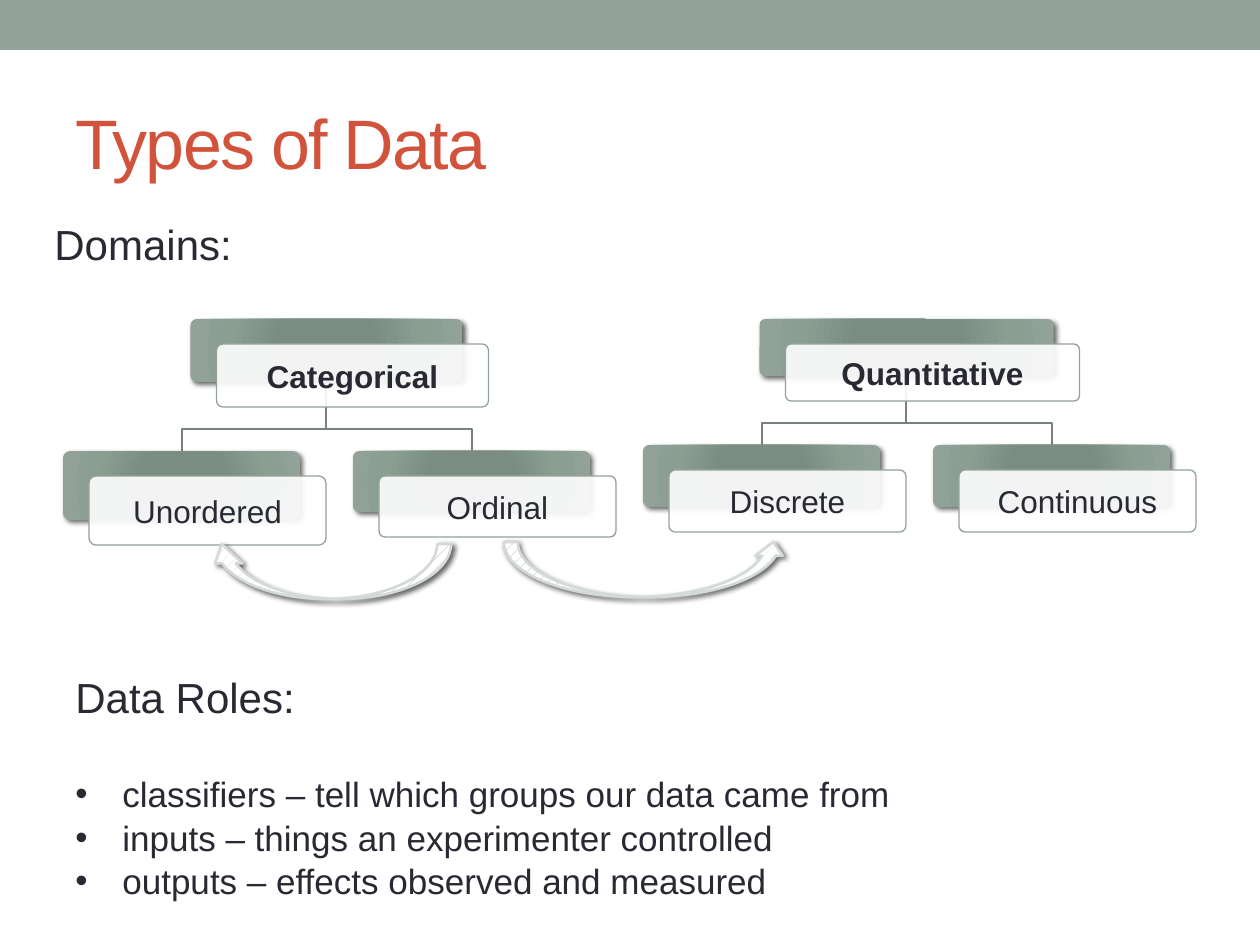
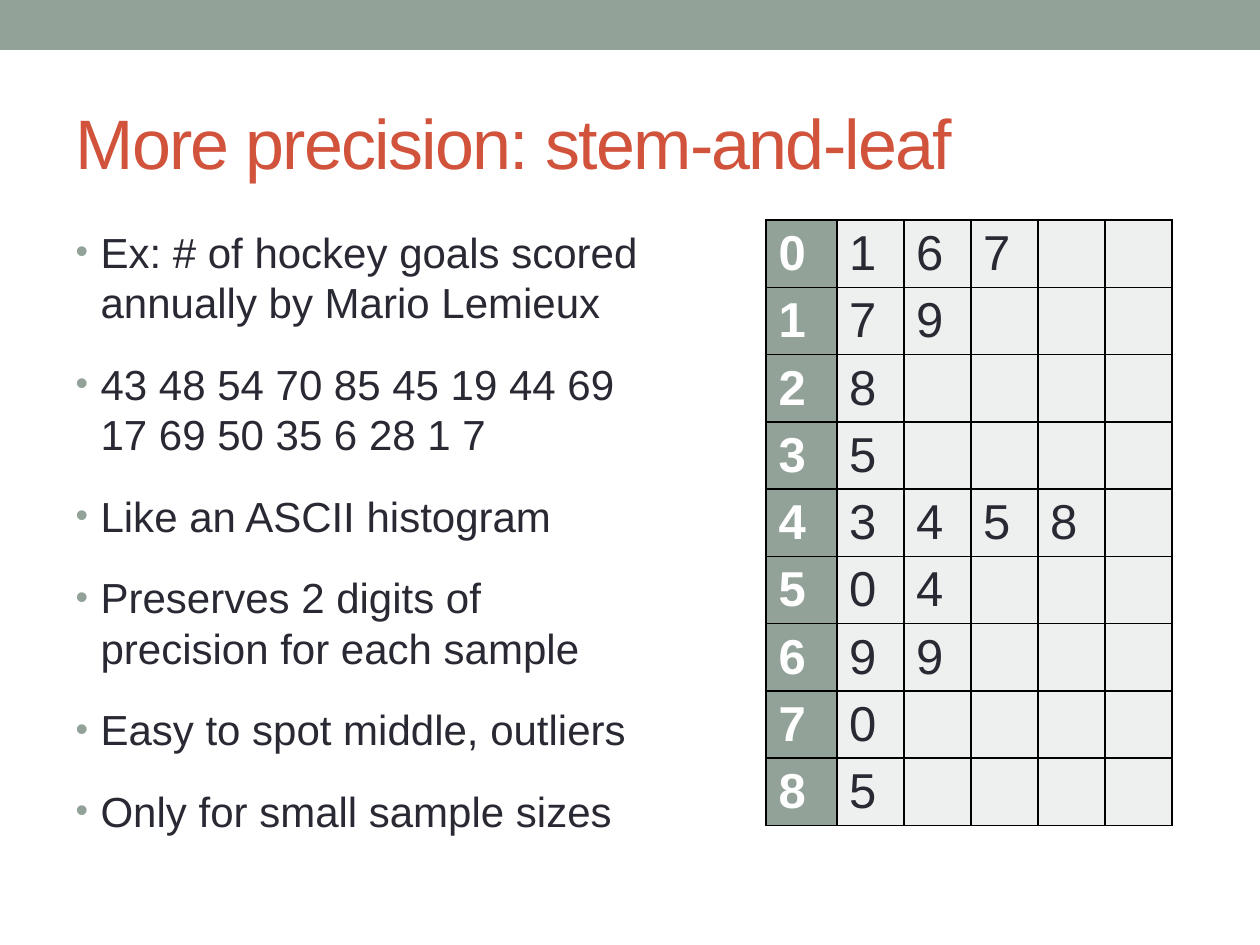
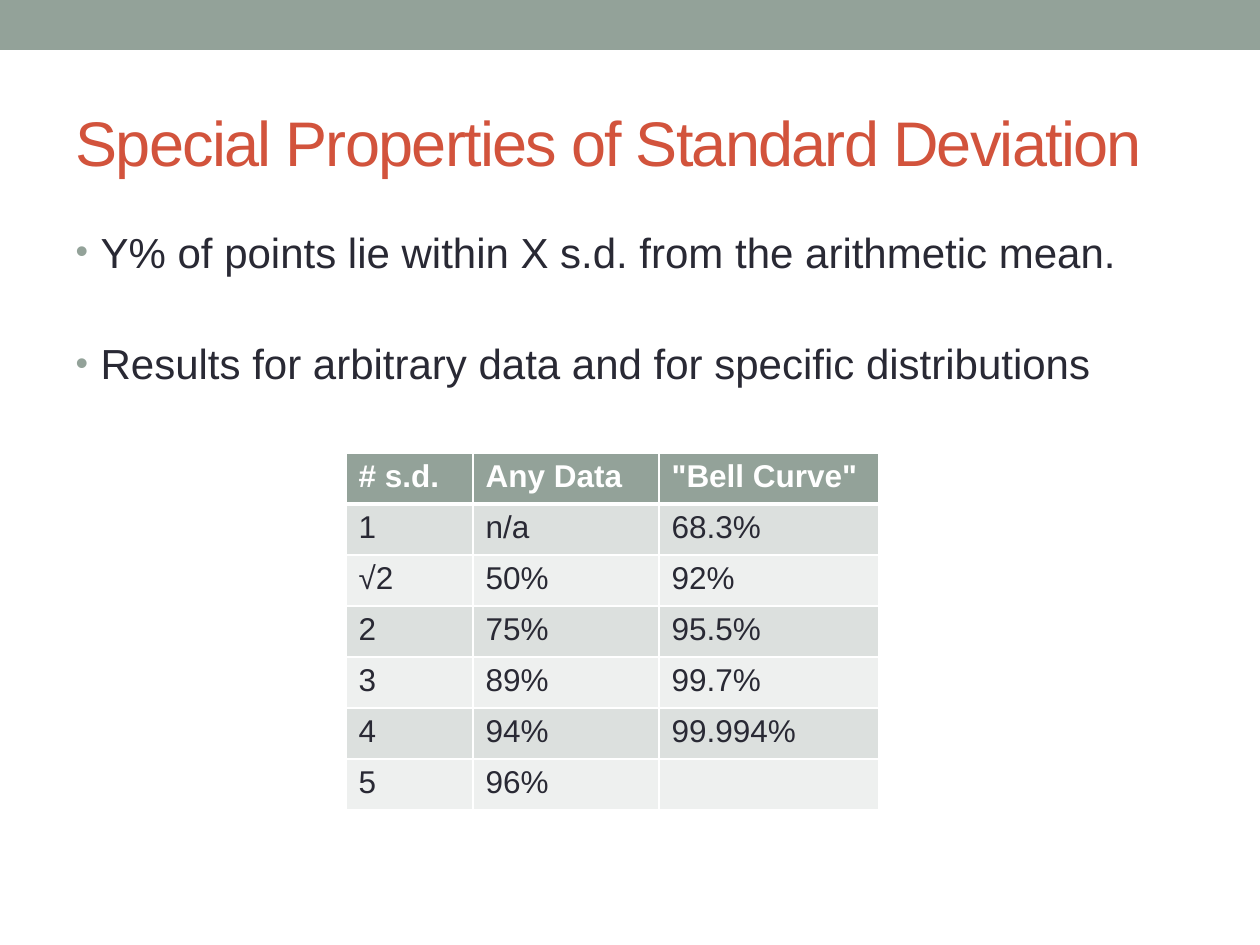
from lxml import etree
from pptx import Presentation
from pptx.dml.color import RGBColor
from pptx.enum.dml import MSO_PATTERN
from pptx.enum.shapes import MSO_SHAPE
from pptx.enum.text import MSO_ANCHOR, PP_ALIGN
from pptx.oxml import parse_xml
from pptx.oxml.ns import nsdecls, qn
from pptx.util import Pt

RECT, ROUND = MSO_SHAPE.RECTANGLE, MSO_SHAPE.ROUNDED_RECTANGLE
ARROW, DOTS = MSO_SHAPE.CURVED_UP_ARROW, MSO_PATTERN.PERCENT_20
LEFT, CENTER = PP_ALIGN.LEFT, PP_ALIGN.CENTER
TOP, MIDDLE = MSO_ANCHOR.TOP, MSO_ANCHOR.MIDDLE

PX = 914400 / 126
FONT = "Arial"
HEX = {
    "sage": "93A299", "rust": "D2533C", "ink": "292934", "white": "FFFFFF",
    "black": "000000", "wire": "76827B", "mist": "D4DAD6",
    "pale": "EEF0EF", "grey": "DCE0DE",
}
SHADE = [(0, "7B8E82"), (34, "7B8D83"), (70, "8A9E92"), (100, "93A299")]

# Each tree: name, width, height, then its leaves with their heights
TREES = [
    ("Categorical", 272, 63, [("Unordered", 69), ("Ordinal", 61)]),
    ("Quantitative", 294, 57, [("Discrete", 62), ("Continuous", 62)]),
]
# Each arrow: box, head length, flipped
ARROWS = [((504, 542, 283, 55), 0.25, False),
          ((208, 544, 243, 55), 0.353, True)]
ROLES = [
    "classifiers – tell which groups our data came from",
    "inputs – things an experimenter controlled",
    "outputs – effects observed and measured",
]
STEM_NOTES = [
    "Ex: # of hockey goals scored annually by Mario Lemieux",
    "43 48 54 70 85 45 19 44 69 17 69 50 35 6 28 1 7",
    "Like an ASCII histogram",
    "Preserves 2 digits of precision for each sample",
    "Easy to spot middle, outliers",
    "Only for small sample sizes",
]
LEAVES = ["167", "79", "8", "5", "3458", "04", "99", "0", "5"]
DEV_NOTES = [
    "Y% of points lie within X s.d. from the arithmetic mean.",
    "Results for arbitrary data and for specific distributions",
]
DEV_ROWS = [
    ("# s.d.", "Any Data", '"Bell Curve"'),
    ("1", "n/a", "68.3%"),
    ("√2", "50%", "92%"),
    ("2", "75%", "95.5%"),
    ("3", "89%", "99.7%"),
    ("4", "94%", "99.994%"),
    ("5", "96%", ""),
]


def emu(*vals):
    return [round(v * PX) for v in vals]


def rgb(name):
    return RGBColor.from_string(HEX[name])


def style(para, size, color="ink", bold=False, align=LEFT):
    font = para.font
    font.name, font.size, font.bold = FONT, Pt(size), bold
    font.color.rgb = rgb(color)
    para.alignment = align


def bullet(para, indent, color=None):
    props = para._p.get_or_add_pPr()
    props.set("marL", str(round(indent * PX)))
    props.set("indent", str(-round(indent * PX)))
    marks = [f'<a:buFont {nsdecls("a")} typeface="{FONT}"/>',
             f'<a:buChar {nsdecls("a")} char="•"/>']
    if color:
        marks = [f'<a:buClr {nsdecls("a")}><a:srgbClr val="{HEX[color]}"/></a:buClr>',
                 f'<a:buSzPct {nsdecls("a")} val="85000"/>'] + marks
    spot = props.index(props.find(qn("a:defRPr")))
    for step, mark in enumerate(marks):
        props.insert(spot + step, parse_xml(mark))


def add_form(slide, kind, box, fill=None, line=None, width=0.75):
    form = slide.shapes.add_shape(kind, *emu(*box))
    form.shadow.inherit = False
    if fill:
        form.fill.solid()
        form.fill.fore_color.rgb = rgb(fill)
    if line:
        form.line.color.rgb = rgb(line)
        form.line.width = Pt(width)
    else:
        form.line.fill.background()
    return form


def cast(form):
    """Give the shape a soft shadow to the lower right."""
    form._element.spPr.find(qn("a:effectLst")).append(parse_xml(
        f'<a:outerShdw {nsdecls("a")} blurRad="38100" dist="25400" dir="2700000" '
        'rotWithShape="0"><a:srgbClr val="000000"><a:alpha val="60000"/>'
        '</a:srgbClr></a:outerShdw>'))


def shade(form):
    """Fill the shape with the round sage gradient."""
    stops = "".join(f'<a:gs pos="{pos * 1000}"><a:srgbClr val="{tone}"/></a:gs>'
                    for pos, tone in SHADE)
    old = form._element.spPr.find(qn("a:solidFill"))
    old.getparent().replace(old, parse_xml(
        f'<a:gradFill {nsdecls("a")} rotWithShape="1"><a:gsLst>{stops}</a:gsLst>'
        '<a:path path="circle"><a:fillToRect l="100000" t="100000" r="100000" '
        'b="100000"/></a:path></a:gradFill>'))


def add_page(prs, layout, title, size=40):
    slide = prs.slides.add_slide(prs.slide_layouts[layout])
    head = slide.shapes.title
    head.left, head.top, head.width, head.height = emu(63, 73, 1134, 136)
    head.text_frame.text = title
    head.text_frame.vertical_anchor = MIDDLE
    para = head.text_frame.paragraphs[0]
    style(para, size, "rust")
    para.font._element.set("spc", "-100")
    return slide


def add_band(prs, slide):
    """Put the top band on the master, behind everything."""
    band = add_form(slide, RECT, (0, 0, 1260, 50), "sage")
    prs.slide_master.shapes.element.insert(2, band.element)


def add_list(slide, box, items, gap):
    body = slide.placeholders[1]
    body.left, body.top, body.width, body.height = emu(*box)
    frame = body.text_frame
    frame.vertical_anchor = TOP
    frame.text = "\n".join(items)
    for num, para in enumerate(frame.paragraphs):
        style(para, 24)
        para.space_before = Pt(gap if num else 0)
        bullet(para, 25, "sage")


def add_text(slide, box, lines, wrap=True):
    frame = slide.shapes.add_textbox(*emu(*box)).text_frame
    frame.word_wrap = wrap
    frame.text = "\n".join(lines)
    head, *rest = frame.paragraphs
    style(head, 24)
    if rest:
        head.space_after = Pt(28)
    for para in rest:
        style(para, 20)
        para.space_before = Pt(1)
        bullet(para, 47)


def add_card(slide, name, box, bold):
    left, top, wide, high = box
    back = add_form(slide, ROUND, box, "sage")
    shade(back)
    cast(back)
    front = add_form(slide, ROUND, (left + 26, top + 25, wide, high), "white", "sage")
    tone = front._element.spPr.find(qn("a:solidFill"))[0]
    etree.SubElement(tone, qn("a:alpha"), val="90000")
    for card in (back, front):
        card.adjustments[0] = 0.1
    frame = front.text_frame
    frame.margin_left = frame.margin_right = emu(9)[0]
    frame.margin_top = frame.margin_bottom = emu(9)[0]
    frame.vertical_anchor = MIDDLE
    frame.text = name
    style(frame.paragraphs[0], 18, bold=bold, align=CENTER)


def add_wire(slide, start, end):
    (x, y), (x2, y2) = start, end
    pen = slide.shapes.build_freeform(x, y, scale=PX)
    pen.add_line_segments([(x, y2 - 22), (x2, y2 - 22), (x2, y2)], close=False)
    wire = pen.convert_to_shape()
    wire.shadow.inherit = False
    wire.fill.background()
    wire.line.color.rgb = rgb("wire")
    wire.line.width = Pt(0.75)


def add_trees(slide):
    left, top, wide, pitch, drop = 63, 319, 237, 290, 69
    cards, wires = [], []
    for tree, (name, span, high, kids) in enumerate(TREES):
        first = left + tree * len(kids) * pitch
        mid = first + (pitch + wide) / 2
        foot = top + high
        cards.append((name, (mid - span / 2, top, span, high), True))
        for num, (kid, tall) in enumerate(kids):
            side = first + num * pitch
            cards.append((kid, (side, foot + drop, wide, tall), False))
            wires.append(((mid, foot), (side + wide / 2, foot + drop)))
    for wire in wires:
        add_wire(slide, *wire)
    for card in cards:
        add_card(slide, *card)


def add_arrow(slide, box, head, flip):
    arrow = add_form(slide, ARROW, box, line="mist", width=1.5)
    arrow.fill.patterned()
    arrow.fill.pattern = DOTS
    arrow.fill.fore_color.rgb = rgb("mist")
    arrow.fill.back_color.rgb = rgb("white")
    arrow.adjustments[2] = head
    cast(arrow)
    if flip:
        arrow._element.spPr.find(qn("a:xfrm")).set("flipH", "1")


def edge(cell, color, top=1, bottom=1):
    props = cell._tc.get_or_add_tcPr()
    for num, (side, width) in enumerate(zip("LRTB", (1, 1, top, bottom))):
        props.insert(num, parse_xml(
            f'<a:ln{side} {nsdecls("a")} w="{width * 12700}"><a:solidFill>'
            f'<a:srgbClr val="{HEX[color]}"/></a:solidFill></a:ln{side}>'))


def add_grid(slide, spot, rows, cols, high, size, look, line, rule=1):
    """Draw a table; look(row, col) gives the fill, sage marking a heading."""
    box = emu(*spot, sum(cols), high * len(rows))
    grid = slide.shapes.add_table(len(rows), len(cols), *box).table
    grid.first_row = grid.horz_banding = False
    for col, wide in zip(grid.columns, cols):
        col.width = emu(wide)[0]
    for r, row in enumerate(rows):
        grid.rows[r].height = emu(high)[0]
        for c, text in enumerate(row):
            cell, fill = grid.cell(r, c), look(r, c)
            cell.fill.solid()
            cell.fill.fore_color.rgb = rgb(fill)
            edge(cell, line, rule if r == 1 else 1, rule if r == 0 else 1)
            cell.text = text
            head = fill == "sage"
            style(cell.text_frame.paragraphs[0], size, "white" if head else "ink", head)


def stem_look(row, col):
    return "pale" if col else "sage"


def dev_look(row, col):
    return ("grey" if row % 2 else "pale") if row else "sage"


def main():
    prs = Presentation()
    prs.slide_width, prs.slide_height = emu(1260, 945)

    types = add_page(prs, 5, "Types of Data")
    add_band(prs, types)
    add_trees(types)
    add_text(types, (42, 212, 204, 63), ["Domains:"], wrap=False)
    add_text(types, (63, 665, 1017, 242), ["Data Roles:"] + ROLES)
    for arrow in ARROWS:
        add_arrow(types, *arrow)

    stem = add_page(prs, 1, "More precision: stem-and-leaf")
    add_list(stem, (63, 220, 605, 672), STEM_NOTES, 17.8)
    rows = [[str(num), *leaf.ljust(5)] for num, leaf in enumerate(LEAVES)]
    rows = [[text.strip() for text in row] for row in rows]
    add_grid(stem, (766, 220), rows, [71] + [67] * 5, 67, 28, stem_look, "black")

    dev = add_page(prs, 1, "Special Properties of Standard Deviation", 36)
    add_list(dev, (63, 220, 1134, 190), DEV_NOTES, 35)
    add_grid(dev, (346, 453), DEV_ROWS, [127, 186, 220], 51, 18, dev_look, "white", 3)

    prs.save("out.pptx")


if __name__ == "__main__":
    main()
